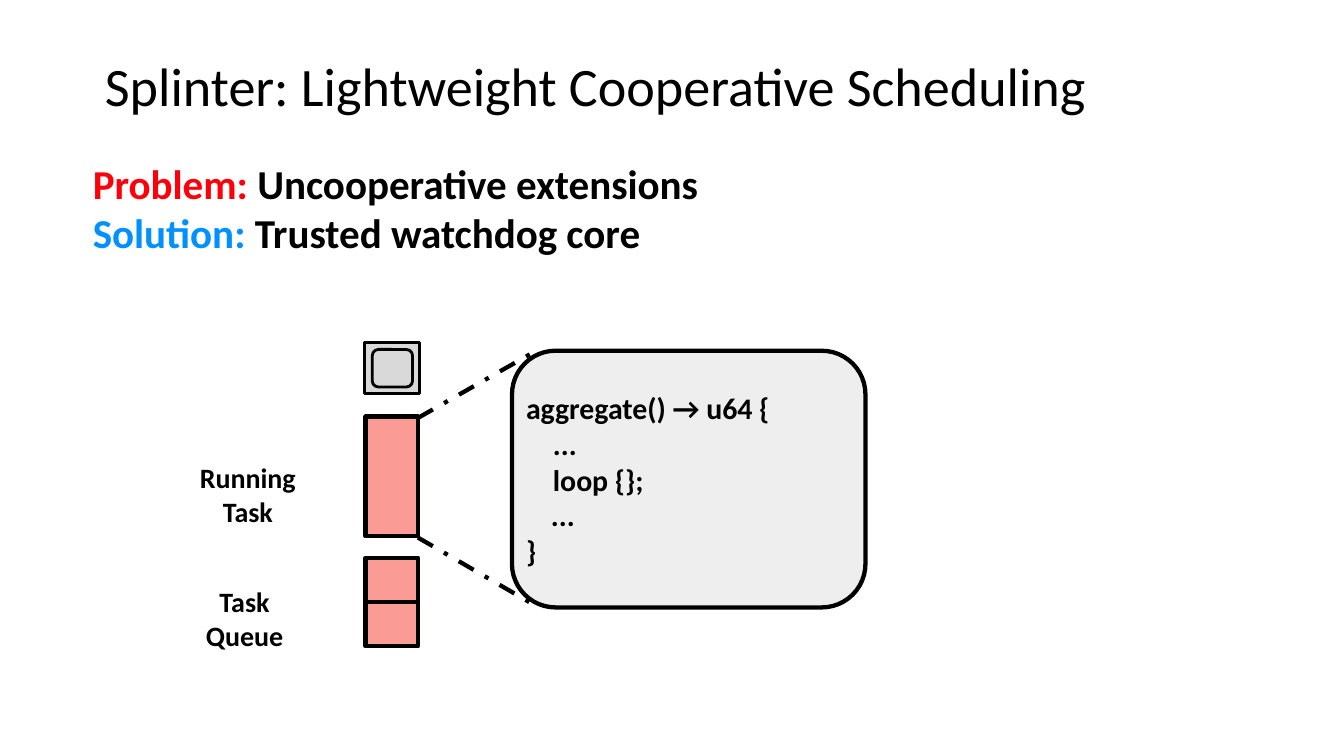
from lxml import etree
from pptx import Presentation
from pptx.dml.color import RGBColor
from pptx.enum.dml import MSO_LINE
from pptx.enum.shapes import MSO_CONNECTOR, MSO_SHAPE
from pptx.enum.text import MSO_ANCHOR, PP_ALIGN
from pptx.oxml.ns import qn
from pptx.util import Inches, Pt

BLACK, RED, BLUE = "000000", "FF000A", "0091FF"
TASK_PINK, CORE_GREY, CODE_GREY = "FB9B96", "D9D9D9", "EEEEEE"
FONT = "Calibri"


def color(hex_value):
    return RGBColor.from_string(hex_value)


def set_frame(frame, inset_x, inset_y, anchor=MSO_ANCHOR.TOP):
    frame.word_wrap = True
    frame.vertical_anchor = anchor
    frame.margin_left = frame.margin_right = Inches(inset_x)
    frame.margin_top = frame.margin_bottom = Inches(inset_y)


def write(frame, lines, size, bold=True, align=PP_ALIGN.LEFT, spacing=None):
    """Each line is a list of (text, colour, font) runs."""
    for index, runs in enumerate(lines):
        paragraph = frame.add_paragraph() if index else frame.paragraphs[0]
        paragraph.alignment = align
        if spacing:
            paragraph.line_spacing = spacing
        for text, hex_value, font in runs:
            run = paragraph.add_run()
            run.text = text
            run.font.name = font
            run.font.size = Pt(size)
            run.font.bold = bold and font == FONT
            run.font.color.rgb = color(hex_value)


def add_text(slide, x, y, w, h, inset_x, inset_y, anchor=MSO_ANCHOR.TOP):
    box = slide.shapes.add_textbox(Inches(x), Inches(y), Inches(w), Inches(h))
    set_frame(box.text_frame, inset_x, inset_y, anchor)
    return box.text_frame


def add_label(slide, text, x, y, w):
    frame = add_text(slide, x, y, w, 0.33, 0.09, 0.04)
    write(frame, [[(text, BLACK, FONT)]], 15, align=PP_ALIGN.CENTER)


def add_block(shapes, x, y, w, h, fill, line_width=2.3, corner=None):
    kind = MSO_SHAPE.RECTANGLE if corner is None else MSO_SHAPE.ROUNDED_RECTANGLE
    block = shapes.add_shape(kind, Inches(x), Inches(y), Inches(w), Inches(h))
    if corner is not None:
        block.adjustments[0] = corner
    block.shadow.inherit = False
    block.fill.solid()
    block.fill.fore_color.rgb = color(fill)
    block.line.color.rgb = color(BLACK)
    block.line.width = Pt(line_width)
    return block


def add_zoom_line(slide, x1, y1, x2, y2):
    line = slide.shapes.add_connector(
        MSO_CONNECTOR.STRAIGHT, Inches(x1), Inches(y1), Inches(x2), Inches(y2))
    line.line.color.rgb = color(BLACK)
    line.line.width = Pt(2.3)
    line.line.dash_style = MSO_LINE.DASH_DOT
    etree.SubElement(line._element.spPr, qn("a:effectLst"))


def add_code_card(slide):
    card = add_block(slide.shapes, 3.81, 2.61, 2.63, 1.91, CODE_GREY, corner=0.17)
    set_frame(card.text_frame, 0.01, 0, MSO_ANCHOR.MIDDLE)
    write(card.text_frame, [
        [("aggregate() → u64 {", BLACK, FONT)],
        [("    ...", BLACK, FONT)],
        [("    loop {};", BLACK, FONT)],
        [("   ", BLACK, "Arial"), ("...", BLACK, FONT)],
        [("}", BLACK, FONT)],
    ], 16)


def main():
    prs = Presentation()
    # A 16:9 slide
    prs.slide_width = Inches(10)
    prs.slide_height = Inches(10 * 9 / 16)
    slide = prs.slides.add_slide(prs.slide_layouts[6])

    # Title and statement
    title = add_text(slide, 0.69, 0.12, 8.62, 1.09, 0.09, 0.05, MSO_ANCHOR.MIDDLE)
    write(title, [[("Splinter: Lightweight Cooperative Scheduling", BLACK, FONT)]],
          29, bold=False, spacing=0.9)
    statement = add_text(slide, 0.69, 1.18, 8.62, 3.57, 0, 0)
    write(statement, [
        [("Problem: ", RED, FONT), ("Uncooperative extensions", BLACK, FONT)],
        [("Solution: ", BLUE, FONT), ("Trusted watchdog core", BLACK, FONT)],
    ], 22)

    # Running task with its code
    task_x, task_w = 2.72, 0.39
    add_block(slide.shapes, task_x, 3.1, task_w, 0.89, TASK_PINK)
    add_label(slide, "Running Task", 1.21, 3.39, 1.27)
    add_code_card(slide)
    for task_y, card_y in ((3.11, 2.61), (4, 4.51)):
        add_zoom_line(slide, task_x + task_w, task_y, 3.99, card_y)

    # Task queue
    add_label(slide, "Task Queue", 1.25, 4.31, 1.14)
    queue = slide.shapes.add_group_shape()
    slot_h = 0.33
    for slot in range(2):
        add_block(queue.shapes, task_x, 4.15 + slot * slot_h, task_w, slot_h, TASK_PINK)

    # Core
    core = slide.shapes.add_group_shape()
    add_block(core.shapes, 2.71, 2.55, 0.41, 0.38, CORE_GREY, 1.5)
    add_block(core.shapes, 2.77, 2.6, 0.3, 0.28, CORE_GREY, 1.5, corner=0.17)

    prs.save("out.pptx")


if __name__ == "__main__":
    main()
